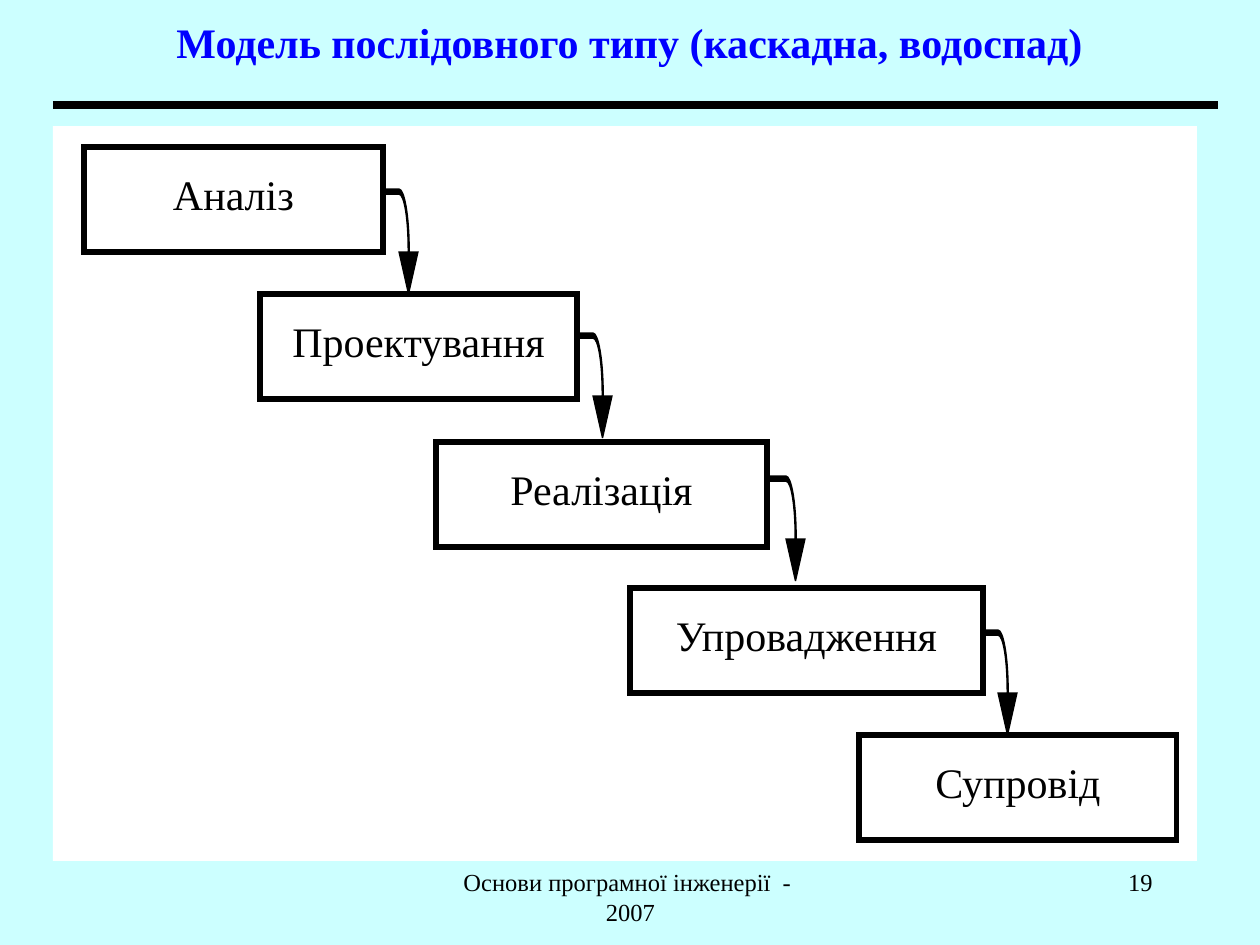
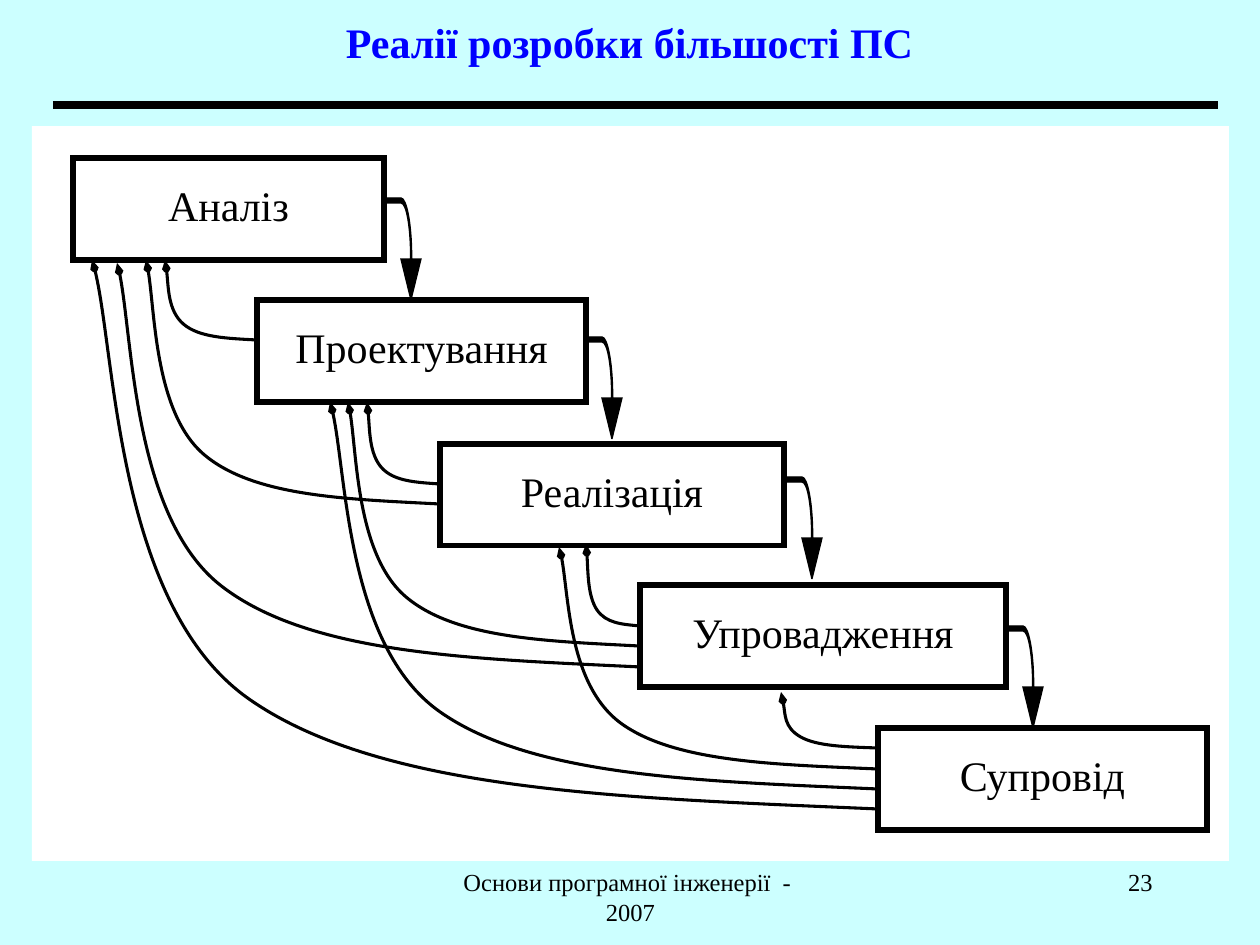
"""Build two slides on the waterfall model and its real-life feedback loops."""
from pptx import Presentation
from pptx.dml.color import RGBColor
from pptx.enum.shapes import MSO_CONNECTOR, MSO_SHAPE
from pptx.enum.text import MSO_ANCHOR as ANCHOR, PP_ALIGN as ALIGN
from pptx.oxml.ns import qn
from pptx.util import Pt
from lxml import etree

EMU_PER_PX = 914400 / 126
FONT = "Times New Roman"
COLORS = {"back": "CCFFFF", "panel": "FFFFFF", "ink": "000000", "title": "0000FF"}
STAGES = ["Аналіз", "Проектування", "Реалізація", "Упровадження", "Супровід"]
FOOTER = "Основи програмної інженерії  -  2007"

SLIDES = [
    {
        "title": "Модель послідовного типу (каскадна, водоспад)",
        "number": "19",
        "panel": (53, 126, 1144, 735),
        "height": 105,
        "boxes": [(84, 147, 299), (260, 294, 317), (436, 442, 331),
                  (630, 588, 353), (859, 735, 318)],
        "arrow_width": 35,
        "arrows": [(383, 189), (577, 333), (770, 476), (982, 630)],
        "feedback": [],
    },
    {
        "title": "Реалії розробки більшості ПС",
        "number": "23",
        "panel": (32, 126, 1197, 735),
        "height": 102,
        "boxes": [(73, 158, 311), (257, 300, 329), (440, 444, 344),
                  (640, 585, 366), (878, 728, 329)],
        "arrow_width": 37,
        "arrows": [(384, 198), (585, 337), (785, 477), (1006, 626)],
        "feedback": [
            (1, 40, 165, 260), (2, 60, 146, 260), (3, 61, 348, 402),
            (4, 41, 559, 547), (2, 40, 367, 402), (3, 41, 586, 544),
            (4, 20, 781, 692), (3, 82, 117, 263), (4, 61, 330, 402),
            (4, 81, 92, 260),
        ],
    },
]

ARROW_OUTLINE = [
    [(0, 0)], [(0.46, 0)], [(0.61, 0), (0.75, 0.25), (0.75, 0.58)],
    [(0.75, 0.6)], [(1, 0.6)], [(0.73, 1)], [(0.46, 0.6)], [(0.72, 0.6)],
    [(0.72, 0.58)], [(0.72, 0.29), (0.61, 0.05), (0.46, 0.05)], [(0, 0.05)],
]
FEEDBACK_CURVE = [
    [(1, 1)], [(0.68, 0.98), (0.37, 0.97), (0.2, 0.8)],
    [(0.03, 0.63), (0.03, 0.13), (0, 0)],
]


def px(value):
    return round(value * EMU_PER_PX)


def rgb(name):
    return RGBColor.from_string(COLORS[name])


def paint(sp, fill=None, line=None, width=0):
    sp.shadow.inherit = False
    if fill:
        sp.fill.solid()
        sp.fill.fore_color.rgb = rgb(fill)
    else:
        sp.fill.background()
    if line:
        sp.line.color.rgb = rgb(line)
        sp.line.width = Pt(width)
        etree.SubElement(sp._element.spPr.find(qn("a:ln")), qn("a:miter"), lim="800000")
    else:
        sp.line.fill.background()


def write(sp, text, size, align, color="ink", bold=False, anchor=ANCHOR.TOP, spacing=None):
    tf = sp.text_frame
    tf.word_wrap = True
    tf.vertical_anchor = anchor
    p = tf.paragraphs[0]
    p.text = text
    p.alignment = align
    p.line_spacing = spacing
    p.font.name = FONT
    p.font.size = Pt(size)
    p.font.bold = bold
    p.font.color.rgb = rgb(color)


def add_text(slide, box, *args, **kwargs):
    write(slide.shapes.add_textbox(*map(px, box)), *args, **kwargs)


def add_rect(slide, box, **style):
    sp = slide.shapes.add_shape(MSO_SHAPE.RECTANGLE, *map(px, box))
    paint(sp, **style)
    return sp


def add_outline(slide, outline, left, top, width, height, close):
    ends = [(px(left + x * width), px(top + y * height)) for *_, (x, y) in outline]
    builder = slide.shapes.build_freeform(*ends[0])
    builder.add_line_segments(ends[1:], close=close)
    sp = builder.convert_to_shape()
    for part, segment in zip(outline[1:], list(sp._element.iter(qn("a:lnTo")))):
        if len(part) == 3:
            curve = etree.Element(qn("a:cubicBezTo"))
            for x, y in part:
                etree.SubElement(curve, qn("a:pt"), x=str(px(x * width)), y=str(px(y * height)))
            segment.getparent().replace(segment, curve)
    return sp


def add_frame(slide, data):
    add_rect(slide, data["panel"], fill="panel")
    add_text(slide, (94, 0, 1071, 84), data["title"], 24, ALIGN.CENTER,
             color="title", bold=True, anchor=ANCHOR.MIDDLE)
    rule = slide.shapes.add_connector(MSO_CONNECTOR.STRAIGHT, px(53), px(105), px(1218), px(105))
    rule.line.color.rgb = rgb("ink")
    rule.line.width = Pt(4.5)
    etree.SubElement(rule._element.spPr, qn("a:effectLst"))


def add_footer(slide, data):
    add_text(slide, (431, 861, 399, 63), FOOTER, 14, ALIGN.CENTER)
    add_text(slide, (903, 861, 262, 63), data["number"], 14, ALIGN.RIGHT)


def add_cascade(slide, data):
    height = data["height"]
    for stage, (left, top, width) in zip(STAGES, data["boxes"]):
        sp = add_rect(slide, (left, top, width, height), fill="panel", line="ink", width=3)
        sp.text_frame.margin_left = sp.text_frame.margin_right = 0
        write(sp, stage, 24, ALIGN.CENTER, spacing=1.3)
    for left, top in data["arrows"]:
        sp = add_outline(slide, ARROW_OUTLINE, left, top, data["arrow_width"], height, True)
        paint(sp, fill="ink", line="ink", width=0.75)
    for source, drop, left, top in data["feedback"]:
        box_left, box_top, _ = data["boxes"][source]
        sp = add_outline(slide, FEEDBACK_CURVE, left, top,
                         box_left - left, box_top + drop - top, False)
        paint(sp, line="ink", width=1.75)
        etree.SubElement(sp._element.spPr.find(qn("a:ln")), qn("a:tailEnd"),
                         type="arrow", w="sm", len="med")


def main():
    prs = Presentation()
    prs.slide_width, prs.slide_height = px(1260), px(945)
    back = prs.slide_master.background.fill
    back.solid()
    back.fore_color.rgb = rgb("back")
    for data in SLIDES:
        slide = prs.slides.add_slide(prs.slide_layouts[6])
        add_frame(slide, data)
        add_cascade(slide, data)
        add_footer(slide, data)
    prs.save("out.pptx")


if __name__ == "__main__":
    main()
